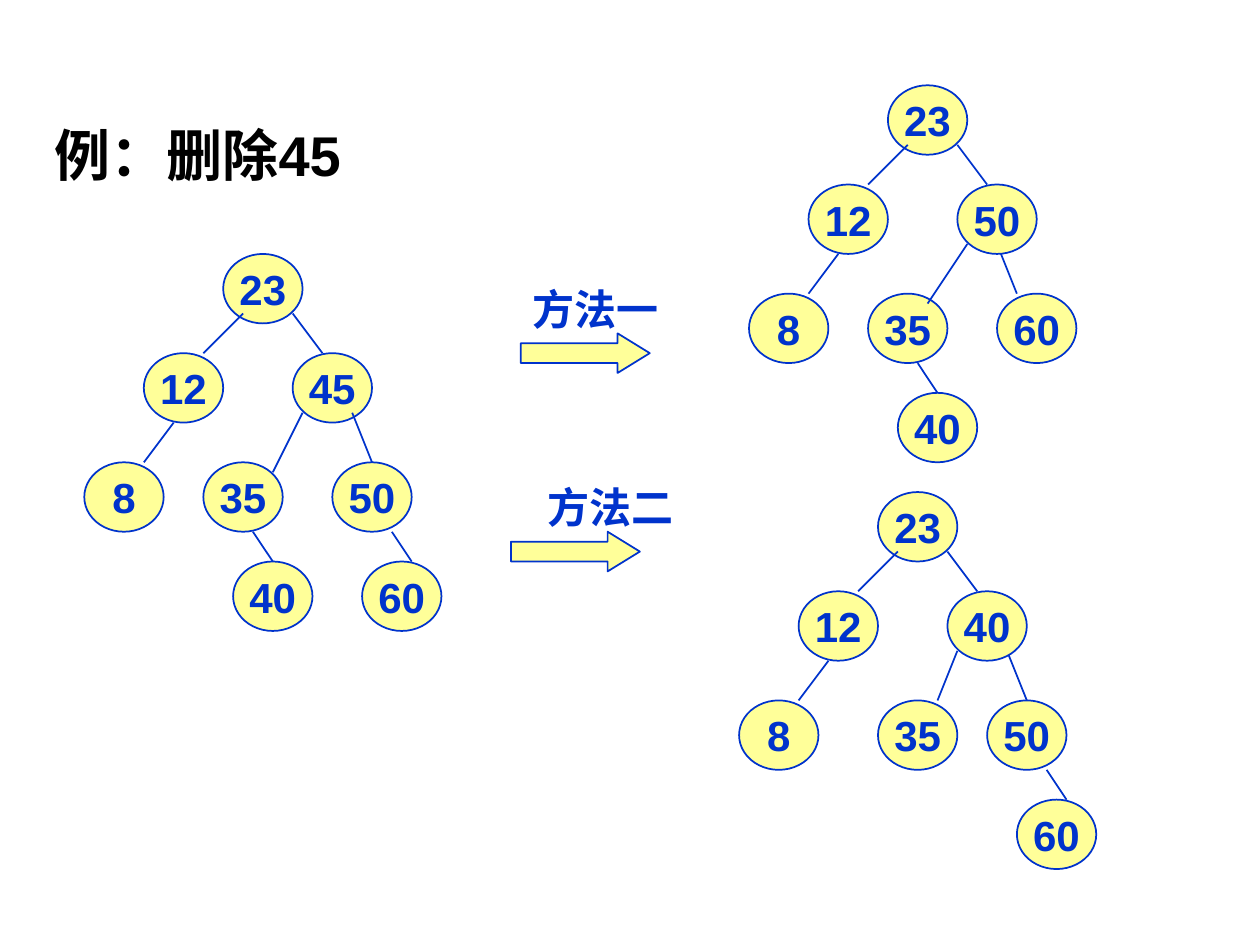
from dataclasses import dataclass

from lxml import etree
from pptx import Presentation
from pptx.dml.color import RGBColor
from pptx.enum.shapes import MSO_CONNECTOR, MSO_SHAPE
from pptx.enum.text import MSO_ANCHOR, MSO_AUTO_SIZE, PP_ALIGN
from pptx.oxml.ns import qn
from pptx.util import Cm, Pt

ELLIPSE, RIGHT_ARROW = MSO_SHAPE.OVAL, MSO_SHAPE.RIGHT_ARROW
STRAIGHT = MSO_CONNECTOR.STRAIGHT
TOP, MIDDLE = MSO_ANCHOR.TOP, MSO_ANCHOR.MIDDLE
LEFT, CENTER = PP_ALIGN.LEFT, PP_ALIGN.CENTER
NO_AUTOFIT = MSO_AUTO_SIZE.NONE


@dataclass(frozen=True)
class Theme:
    font: str = "Arial"
    ink: RGBColor = RGBColor(0x00, 0x33, 0xCC)
    fill: RGBColor = RGBColor(0xFF, 0xFF, 0x99)
    title: RGBColor = RGBColor(0, 0, 0)
    title_size: Pt = Pt(32)
    label_size: Pt = Pt(24)
    line_width: Pt = Pt(1)


THEME = Theme()

# All lengths are in centimetres.
TITLE = "例：删除45"
TITLE_BOX = (0.84, 2.31, 23.72, 2)

# Method name, its text box, top left corner of its arrow
METHODS = [
    ("方法一", (10.11, 5.72, 3.81, 1), (10.5, 6.72)),
    ("方法二", (10.31, 9.72, 4, 1), (10.3, 10.72)),
]
ARROW_SIZE = (2.6, 0.8)
ARROW_HEAD = 0.812

NODE_SIZE = (1.6, 1.4)
LEVEL_TOPS = (0, 2, 4.2, 6.2)

# nodes: key -> (level, left of the node relative to the root)
# edges: parent, child, start within the parent, end within the child
# behind: edges that run beneath their parent node
ROOT_EDGE_LEFT = (23, 12, (0.4, 1.2), (1.2, 0))
LEAF_EDGE = (12, 8, (0.6, 1.4), (1.2, 0))
SHARED_NODES = {23: (0, 0), 12: (1, -1.6), 8: (2, -2.8)}
TREES = [
    {
        "origin": (4.5, 5.12),
        "nodes": {45: (1, 1.4), 35: (2, -0.4), 50: (2, 2.2),
                  40: (3, 0.2), 60: (3, 2.8)},
        "edges": [(23, 45, (1.4, 1.2), (0.6, 0)),
                  (45, 35, (0.2, 1.2), (1.4, 0.2)),
                  (45, 50, (1.2, 1.2), (0.8, 0)),
                  (35, 40, (1, 1.4), (0.8, 0)),
                  (50, 60, (1.2, 1.4), (1, 0))],
        "behind": [],
    },
    {
        "origin": (17.9, 1.72),
        "nodes": {50: (1, 1.4), 35: (2, -0.4), 60: (2, 2.2), 40: (3, 0.2)},
        "edges": [(23, 50, (1.4, 1.2), (0.6, 0)),
                  (50, 35, (0.2, 1.2), (1.2, 0.2)),
                  (35, 40, (1, 1.4), (0.8, 0))],
        "behind": [(50, 60, (0.8, 1.2), (0.4, 0))],
    },
    {
        "origin": (17.7, 9.92),
        "nodes": {40: (1, 1.4), 35: (2, 0), 50: (2, 2.2), 60: (3, 2.8)},
        "edges": [(23, 40, (1.4, 1.2), (0.6, 0)),
                  (40, 35, (0.2, 1.2), (1.2, 0)),
                  (50, 60, (1.2, 1.4), (1, 0))],
        "behind": [(40, 50, (1.2, 1.2), (0.8, 0))],
    },
]


def cm(*lengths):
    return [Cm(length) for length in lengths]


def write(frame, text, size, color, align=CENTER, anchor=MIDDLE, wrap=False):
    frame.text = text
    frame.auto_size = NO_AUTOFIT
    frame.word_wrap = wrap
    frame.vertical_anchor = anchor
    paragraph = frame.paragraphs[0]
    paragraph.alignment = align
    font = paragraph.font
    font.name, font.size, font.bold = THEME.font, size, True
    font.color.rgb = color


def add_outlined(shapes, kind, corner, size):
    shape = shapes.add_shape(kind, *cm(*corner, *size))
    shape.shadow.inherit = False
    shape.fill.solid()
    shape.fill.fore_color.rgb = THEME.fill
    shape.line.color.rgb = THEME.ink
    shape.line.width = THEME.line_width
    return shape


def add_edge(shapes, corners, edge):
    parent, child, start, end = edge
    points = [corner + offset
              for node, offsets in ((parent, start), (child, end))
              for corner, offset in zip(corners[node], offsets)]
    line = shapes.add_connector(STRAIGHT, *cm(*points))
    line.line.color.rgb = THEME.ink
    line.line.width = THEME.line_width
    etree.SubElement(line._element.spPr, qn("a:effectLst"))


def add_tree(slide, tree):
    shapes = slide.shapes.add_group_shape().shapes
    left, top = tree["origin"]
    corners = {key: (left + x, top + LEVEL_TOPS[level])
               for key, (level, x) in (SHARED_NODES | tree["nodes"]).items()}
    for edge in tree["behind"]:
        add_edge(shapes, corners, edge)
    for key, corner in corners.items():
        node = add_outlined(shapes, ELLIPSE, corner, NODE_SIZE)
        write(node.text_frame, str(key), THEME.label_size, THEME.ink)
    for edge in [ROOT_EDGE_LEFT, LEAF_EDGE, *tree["edges"]]:
        add_edge(shapes, corners, edge)


def add_method(slide, name, box, arrow_corner):
    arrow = add_outlined(slide.shapes, RIGHT_ARROW, arrow_corner, ARROW_SIZE)
    arrow.adjustments[1] = ARROW_HEAD
    label = slide.shapes.add_textbox(*cm(*box))
    write(label.text_frame, name, THEME.label_size, THEME.ink)


def main():
    deck = Presentation()
    deck.slide_width, deck.slide_height = cm(25.4, 19.05)
    slide = deck.slides.add_slide(deck.slide_layouts.get_by_name("Title Only"))

    title = slide.shapes.title
    title.left, title.top, title.width, title.height = cm(*TITLE_BOX)
    write(title.text_frame, TITLE, THEME.title_size, THEME.title,
          align=LEFT, anchor=TOP, wrap=True)

    for method in METHODS:
        add_method(slide, *method)
    for tree in TREES:
        add_tree(slide, tree)
    deck.save("out.pptx")


if __name__ == "__main__":
    main()
